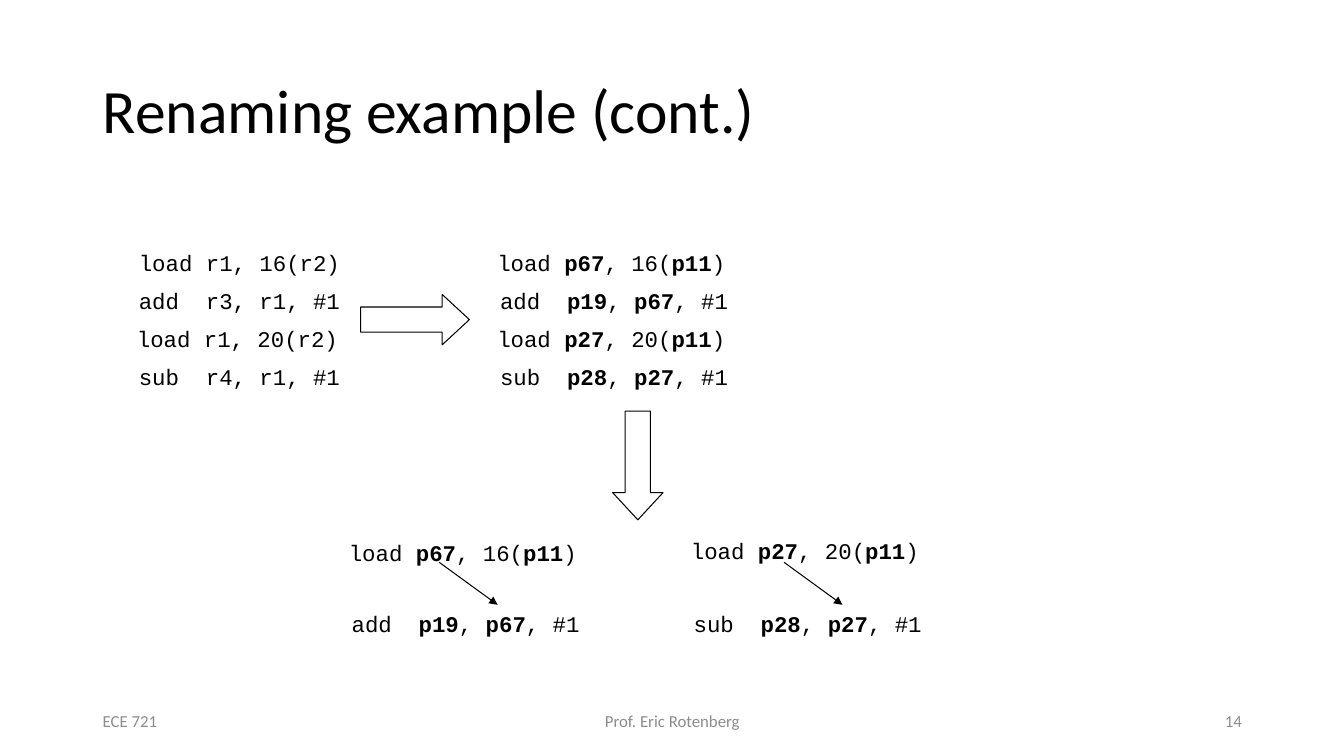
from lxml import etree
from pptx import Presentation
from pptx.dml.color import RGBColor
from pptx.enum.shapes import MSO_CONNECTOR, MSO_SHAPE
from pptx.enum.text import MSO_ANCHOR, MSO_AUTO_SIZE, PP_ALIGN
from pptx.oxml.ns import qn
from pptx.util import Cm, Pt

BLACK = RGBColor(0x00, 0x00, 0x00)
GREY = RGBColor(0x8C, 0x8C, 0x8C)
TEXT_FONT = "Calibri"
CODE_FONT = "Courier New"

# Instructions; asterisks enclose the renamed registers, set in bold
ARCHITECTURAL = ["load r1, 16(r2)", "add  r3, r1, #1",
                 "load r1, 20(r2)", "sub  r4, r1, #1"]
RENAMED = ["load *p67*, 16(*p11*)", "add  *p19*, *p67*, #1",
           "load *p27*, 20(*p11*)", "sub  *p28*, *p27*, #1"]
ARCHITECTURAL_LEFTS = [3.23, 3.23, 3.18, 3.23]
RENAMED_LEFTS = [12.27, 12.34] * 2
LIST_TOP, LIST_STEP = 6.15, 0.96
ARCHITECTURAL_WIDTH, RENAMED_WIDTH = 5.61, 6.27


def style_font(font, name, size, color, bold=False):
    font.name = name
    font.size = Pt(size)
    font.color.rgb = color
    font.bold = bold


def add_title(slide, text):
    title = slide.shapes.title
    title.left, title.top = Cm(2.34), Cm(1.02)
    title.width, title.height = Cm(29.21), Cm(3.68)
    frame = title.text_frame
    frame.vertical_anchor = MSO_ANCHOR.MIDDLE
    paragraph = frame.paragraphs[0]
    paragraph.alignment = PP_ALIGN.LEFT
    paragraph.line_spacing = 0.9
    run = paragraph.add_run()
    run.text = text
    style_font(run.font, TEXT_FONT, 44, BLACK)


def add_footer(slide, text, left, width, alignment):
    box = slide.shapes.add_textbox(Cm(left), Cm(17.65), Cm(width), Cm(1.02))
    frame = box.text_frame
    frame.word_wrap = True
    frame.vertical_anchor = MSO_ANCHOR.MIDDLE
    paragraph = frame.paragraphs[0]
    paragraph.alignment = alignment
    run = paragraph.add_run()
    run.text = text
    style_font(run.font, TEXT_FONT, 12, GREY)


def add_instruction(slide, code, left, top, width):
    box = slide.shapes.add_textbox(Cm(left), Cm(top), Cm(width), Cm(0.94))
    frame = box.text_frame
    frame.word_wrap = False
    frame.auto_size = MSO_AUTO_SIZE.SHAPE_TO_FIT_TEXT
    paragraph = frame.paragraphs[0]
    paragraph.alignment = PP_ALIGN.CENTER
    for index, part in enumerate(code.split("*")):
        run = paragraph.add_run()
        run.text = part
        style_font(run.font, CODE_FONT, 16, BLACK, bold=index % 2 == 1)


def add_listing(slide, instructions, lefts, width):
    for row, (code, left) in enumerate(zip(instructions, lefts)):
        add_instruction(slide, code, left, LIST_TOP + row * LIST_STEP, width)


def add_block_arrow(slide, preset, left, top, width, height):
    arrow = slide.shapes.add_shape(preset, Cm(left), Cm(top), Cm(width), Cm(height))
    arrow.adjustments[0] = 0.5
    arrow.adjustments[1] = 0.54
    arrow.shadow.inherit = False
    arrow.fill.background()
    arrow.line.color.rgb = BLACK
    arrow.line.width = Pt(0.75)


def add_dependence(slide, left, top):
    arrow = slide.shapes.add_connector(
        MSO_CONNECTOR.STRAIGHT, Cm(left), Cm(top), Cm(left + 1.47), Cm(top + 1.07))
    arrow.line.color.rgb = BLACK
    arrow.line.width = Pt(0.75)
    etree.SubElement(arrow.line._get_or_add_ln(), qn("a:tailEnd"), type="triangle")
    etree.SubElement(arrow._element.spPr, qn("a:effectLst"))


def main():
    prs = Presentation()
    prs.slide_width, prs.slide_height = Cm(33.87), Cm(19.05)
    slide = prs.slides.add_slide(prs.slide_layouts[5])

    # Title and footer
    add_title(slide, "Renaming example (cont.)")
    add_footer(slide, "ECE 721", 2.34, 7.62, PP_ALIGN.LEFT)
    add_footer(slide, "Prof. Eric Rotenberg", 11.23, 11.43, PP_ALIGN.CENTER)
    add_footer(slide, "14", 23.93, 7.62, PP_ALIGN.RIGHT)

    # Code before and after renaming
    add_listing(slide, ARCHITECTURAL, ARCHITECTURAL_LEFTS, ARCHITECTURAL_WIDTH)
    add_listing(slide, RENAMED, RENAMED_LEFTS, RENAMED_WIDTH)
    add_block_arrow(slide, MSO_SHAPE.RIGHT_ARROW, 9.09, 7.42, 2.74, 1.27)
    add_block_arrow(slide, MSO_SHAPE.DOWN_ARROW, 15.44, 10.36, 1.27, 2.74)

    # Two independent chains: each load feeds the instruction below it
    chains = [(RENAMED[:2], 8.53, 13.46, 11.07), (RENAMED[2:], 17.15, 13.41, 19.76)]
    for (load, consumer), left, load_top, arrow_left in chains:
        add_instruction(slide, load, left, load_top, RENAMED_WIDTH)
        add_instruction(slide, consumer, left + 0.07, 15.24, RENAMED_WIDTH)
        add_dependence(slide, arrow_left, 14.17)

    prs.save("out.pptx")


main()
